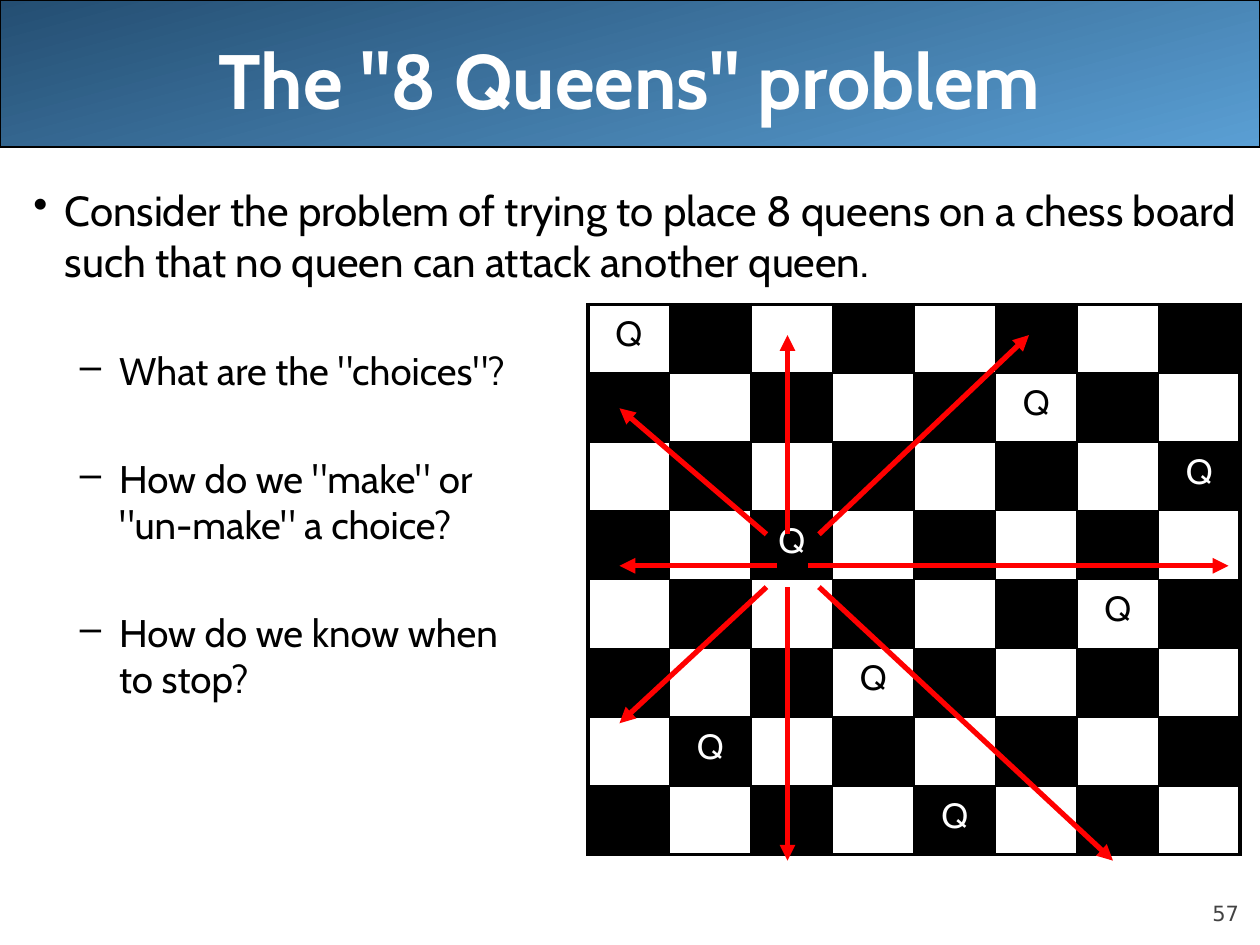
from lxml.etree import SubElement
from pptx import Presentation
from pptx.dml.color import RGBColor
from pptx.enum.shapes import MSO_CONNECTOR, MSO_SHAPE
from pptx.enum.text import MSO_ANCHOR, PP_ALIGN
from pptx.oxml import parse_xml
from pptx.oxml.ns import nsdecls, qn
from pptx.util import Pt

BLACK = RGBColor(0x00, 0x00, 0x00)
WHITE = RGBColor(0xFF, 0xFF, 0xFF)
RED = RGBColor(0xFF, 0x00, 0x00)
GRAY = RGBColor(0x42, 0x42, 0x42)
DARK_BLUE = RGBColor(0x24, 0x4E, 0x72)
LIGHT_BLUE = RGBColor(0x5A, 0x9F, 0xD4)

FONT = "Cabin"
NUMBER_FONT = "DejaVu Sans"

BOARD_SIZE = 8
BOARD_LEFT, BOARD_TOP = 336, 174
SQUARE_WIDTH, SQUARE_HEIGHT = 46.6, 39.3
QUEEN_COLUMNS = [0, 5, 7, 2, 6, 3, 1, 4]

INTRO = ("Consider the problem of trying to place 8 queens on a chess board "
         "such that no queen can attack another queen.")
QUESTIONS = [
    'What are the "choices"?',
    'How do we "make" or\v"un-make" a choice?',
    "How do we know when\vto stop?",
]

ARROWS = [
    ((450, 305.3), (450, 191.5)),
    ((450, 335.5), (450, 491.8)),
    ((462, 323.3), (702, 323.3)),
    ((444, 323.3), (354, 323.3)),
    ((438, 305.3), (354, 233.3)),
    ((438, 335.5), (354, 413.3)),
    ((468, 335.5), (636, 491.8)),
    ((468, 305.3), (588, 191.5)),
]


def style_text(paragraph, size, color, name=FONT, bold=False):
    font = paragraph.font
    font.name, font.size, font.bold = name, Pt(size), bold
    font.color.rgb = color


def add_banner(page, width, height):
    banner = page.shapes.add_shape(MSO_SHAPE.RECTANGLE, 0, 0, Pt(width), Pt(height))
    banner.shadow.inherit = False
    banner.fill.gradient()
    banner.fill.gradient_angle = 285
    for stop, color, position in zip(banner.fill.gradient_stops, (DARK_BLUE, LIGHT_BLUE), (0, 1)):
        stop.color.rgb = color
        stop.position = position
    banner.line.color.rgb = BLACK
    banner.line.width = Pt(0.75)


def add_text_box(page, left, top, width, height, anchor=MSO_ANCHOR.TOP):
    box = page.shapes.add_textbox(Pt(left), Pt(top), Pt(width), Pt(height))
    frame = box.text_frame
    frame.word_wrap = True
    frame.vertical_anchor = anchor
    return frame


def add_title(page, text):
    frame = add_text_box(page, 36, 0, 648, 90, MSO_ANCHOR.MIDDLE)
    paragraph = frame.paragraphs[0]
    paragraph.text = text
    paragraph.alignment = PP_ALIGN.CENTER
    style_text(paragraph, 44, WHITE, bold=True)


def add_page_number(page, number):
    frame = add_text_box(page, 648, 500.4, 60, 28.8, MSO_ANCHOR.BOTTOM)
    frame.margin_left = frame.margin_right = frame.margin_top = frame.margin_bottom = 0
    paragraph = frame.paragraphs[0]
    paragraph.text = number
    paragraph.alignment = PP_ALIGN.RIGHT
    style_text(paragraph, 12, GRAY, NUMBER_FONT)


def write_bullet(paragraph, text, size, symbol, margin, hanging, level=0, space_before=0):
    paragraph.text = text
    paragraph.level = level
    paragraph.space_before = Pt(space_before)
    style_text(paragraph, size, BLACK)
    properties = paragraph._p.get_or_add_pPr()
    properties.set("marL", str(Pt(margin)))
    properties.set("indent", str(Pt(-hanging)))
    bullet = parse_xml(f'<a:buChar {nsdecls("a")} char="{symbol}"/>')
    properties.find(qn("a:defRPr")).addprevious(bullet)


def add_body(page):
    frame = add_text_box(page, 12, 102, 708, 408)
    write_bullet(frame.paragraphs[0], INTRO, 24, "•", 18, 18)
    for question in QUESTIONS:
        write_bullet(frame.add_paragraph(), question, 22, "–", 49, 22.5, 1, 35.25)


def set_border(cell, side, width, index):
    border = parse_xml(
        f'<a:ln{side} {nsdecls("a")} w="{Pt(width)}"><a:solidFill>'
        f'<a:srgbClr val="{BLACK}"/></a:solidFill></a:ln{side}>')
    cell._tc.get_or_add_tcPr().insert(index, border)


def fill_square(cell, row, column):
    dark = (row + column) % 2 == 1
    cell.margin_left = cell.margin_right = cell.margin_top = cell.margin_bottom = 0
    cell.fill.solid()
    cell.fill.fore_color.rgb = BLACK if dark else WHITE
    last = BOARD_SIZE - 1
    edges = {"L": column == 0, "R": column == last, "T": row == 0, "B": row == last}
    for index, (side, outer) in enumerate(edges.items()):
        set_border(cell, side, 2.25 if outer else 1, index)
    if QUEEN_COLUMNS[row] == column:
        paragraph = cell.text_frame.paragraphs[0]
        paragraph.text = "Q"
        paragraph.alignment = PP_ALIGN.CENTER
        paragraph.line_spacing = 1.2
        style_text(paragraph, 20, WHITE if dark else BLACK)


def add_board(page):
    board = page.shapes.add_table(
        BOARD_SIZE, BOARD_SIZE, Pt(BOARD_LEFT), Pt(BOARD_TOP),
        Pt(BOARD_SIZE * SQUARE_WIDTH), Pt(BOARD_SIZE * SQUARE_HEIGHT)).table
    board.first_row = board.horz_banding = False
    for column in board.columns:
        column.width = Pt(SQUARE_WIDTH)
    for row in board.rows:
        row.height = Pt(SQUARE_HEIGHT)
    for row in range(BOARD_SIZE):
        for column in range(BOARD_SIZE):
            fill_square(board.cell(row, column), row, column)


def add_arrow(page, start, end):
    arrow = page.shapes.add_connector(
        MSO_CONNECTOR.STRAIGHT, *(Pt(value) for value in start + end))
    arrow.line.color.rgb = RED
    arrow.line.width = Pt(3)
    SubElement(arrow.line._get_or_add_ln(), qn("a:tailEnd"), type="triangle")
    SubElement(arrow._element.spPr, qn("a:effectLst"))


def main():
    deck = Presentation()
    deck.slide_width, deck.slide_height = Pt(720), Pt(540)
    page = deck.slides.add_slide(deck.slide_layouts[6])
    add_banner(page, 720, 84)
    add_page_number(page, "57")
    add_title(page, 'The "8 Queens" problem')
    add_body(page)
    add_board(page)
    for start, end in ARROWS:
        add_arrow(page, start, end)
    deck.save("out.pptx")


if __name__ == "__main__":
    main()
